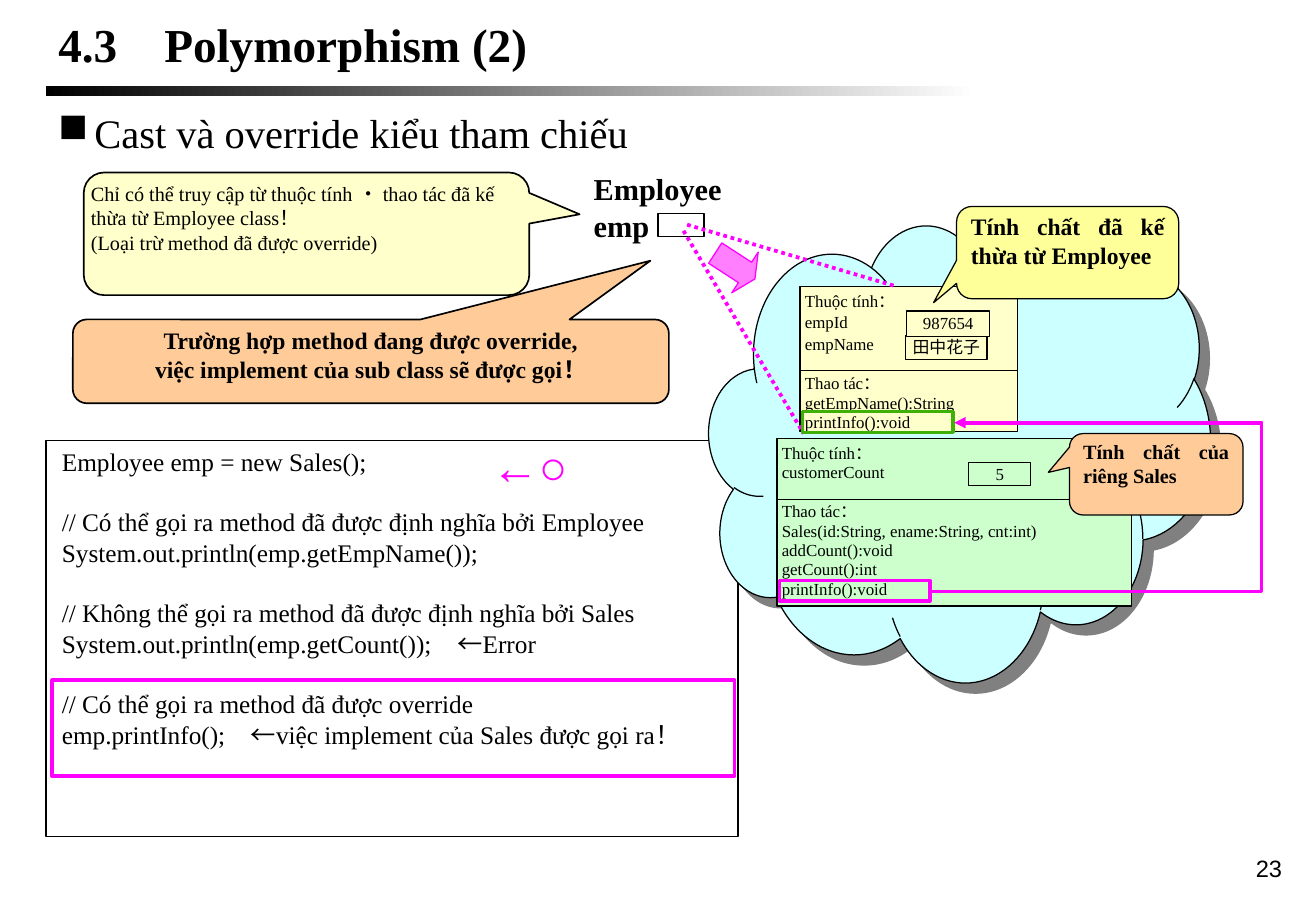
from dataclasses import dataclass

from lxml import etree
from pptx import Presentation
from pptx.dml.color import RGBColor
from pptx.enum.dml import MSO_LINE
from pptx.enum.shapes import MSO_CONNECTOR, MSO_SHAPE
from pptx.enum.text import MSO_ANCHOR, MSO_AUTO_SIZE, PP_ALIGN
from pptx.oxml.ns import qn
from pptx.util import Inches, Pt

LEFT, CENTER, RIGHT, JUSTIFY = PP_ALIGN.LEFT, PP_ALIGN.CENTER, PP_ALIGN.RIGHT, PP_ALIGN.JUSTIFY
TOP, MIDDLE = MSO_ANCHOR.TOP, MSO_ANCHOR.MIDDLE
RECT, CLOUD, ARROW = MSO_SHAPE.RECTANGLE, MSO_SHAPE.CLOUD, MSO_SHAPE.RIGHT_ARROW
CALLOUT = MSO_SHAPE.ROUNDED_RECTANGULAR_CALLOUT
STRAIGHT, ELBOW = MSO_CONNECTOR.STRAIGHT, MSO_CONNECTOR.ELBOW
DOTTED = MSO_LINE.ROUND_DOT


@dataclass(frozen=True)
class Theme:
    """Colours, fonts and type sizes of the slide."""
    ink: str = "000000"
    paper: str = "FFFFFF"
    cream: str = "FFFFCC"
    yellow: str = "FFFF99"
    orange: str = "FFCC99"
    mint: str = "CCFFCC"
    sky: str = "CCFFFF"
    magenta: str = "FF00FF"
    green: str = "3FB007"
    shade: str = "808080"
    serif: str = "Times New Roman"
    sans: str = "Arial"
    title: int = 28
    heading: int = 24
    reference: int = 18
    code: int = 15
    note: int = 14
    small_note: int = 12
    member: int = 10


THEME = Theme()


def within(box, dx, dy, width, height):
    """Return a box offset from the corner of another box."""
    return box[0] + dx, box[1] + dy, width, height


def write(shape, lines, size, color=THEME.ink, font=THEME.serif, bold=False, align=LEFT,
          anchor=TOP, inset=(0.04, 0.04), leading=1.21, gaps=None, bullet=None):
    """Fill a shape with paragraphs; gaps maps a line index to its space before."""
    frame = shape.text_frame
    frame.word_wrap = True
    frame.auto_size = MSO_AUTO_SIZE.NONE
    frame.vertical_anchor = anchor
    frame.margin_left = frame.margin_right = Inches(inset[0])
    frame.margin_top = frame.margin_bottom = Inches(inset[1])
    for index, line in enumerate(lines):
        paragraph = frame.paragraphs[0] if index == 0 else frame.add_paragraph()
        paragraph.alignment = align
        paragraph.line_spacing = Pt(round(size * leading, 1))
        paragraph.space_before = Pt((gaps or {}).get(index, 0))
        if bullet:
            properties = paragraph._p.get_or_add_pPr()
            properties.set("marL", str(Inches(0.3)))
            properties.set("indent", str(Inches(-0.3)))
            etree.SubElement(properties, qn("a:buChar"), char=bullet)
        run = paragraph.add_run()
        run.text = line
        run.font.name, run.font.size, run.font.bold = font, Pt(size), bold
        run.font.color.rgb = RGBColor.from_string(color)


def add_text(slide, box, lines, size, **fmt):
    """Add a text box."""
    write(slide.shapes.add_textbox(*map(Inches, box)), lines, size, **fmt)


def add_block(slide, kind, box, fill=None, line=THEME.ink, weight=0.75, adjust=()):
    """Add a preset shape with flat fill and outline."""
    block = slide.shapes.add_shape(kind, *map(Inches, box))
    block.shadow.inherit = False
    for index, value in enumerate(adjust):
        block.adjustments[index] = value
    if fill:
        block.fill.solid()
        block.fill.fore_color.rgb = RGBColor.from_string(fill)
    else:
        block.fill.background()
    if line:
        block.line.color.rgb = RGBColor.from_string(line)
        block.line.width = Pt(weight)
    else:
        block.line.fill.background()
    return block


def add_line(slide, start, end, color=THEME.ink, weight=0.75, kind=STRAIGHT, dash=None):
    """Add a connector without shadow."""
    connector = slide.shapes.add_connector(kind, *map(Inches, start + end))
    connector.line.color.rgb = RGBColor.from_string(color)
    connector.line.width = Pt(weight)
    if dash:
        connector.line.dash_style = dash
    etree.SubElement(connector._element.spPr, qn("a:effectLst"))
    return connector


def add_header(slide, box):
    """Place the title, the fading rule and the heading."""
    rule = add_block(slide, RECT, within(box, 0, 0.62, 7.67, 0.08), THEME.ink, None)
    rule.fill.gradient()
    rule.fill.gradient_angle = 0
    for stop, color in zip(rule.fill.gradient_stops, (THEME.ink, THEME.paper)):
        stop.color.rgb = RGBColor.from_string(color)
    title = slide.shapes.title
    title.left, title.top, title.width, title.height = map(Inches, within(box, 0, 0, 10.08, 0.54))
    write(title, ["4.3　Polymorphism (2)"], THEME.title, bold=True, anchor=MIDDLE, inset=(0.1, 0.05))
    add_text(slide, within(box, 0, 0.73, 9.73, 0.64), ["Cast và override kiểu tham chiếu"],
             THEME.heading, inset=(0.1, 0.07), bullet="■")


def add_callout(slide, box, lines, size, fill, adjust, weight=0.75, **fmt):
    """Place a speech bubble with its text."""
    bubble = add_block(slide, CALLOUT, box, fill, weight=weight, adjust=adjust + (0.167,))
    write(bubble, lines, size, **fmt)


def add_access_notes(slide, box):
    """Place the two notes on inherited and overridden members."""
    add_callout(slide, within(box, 0.09, 0, 3.67, 1.01),
                ["Chỉ có thể truy cập từ thuộc tính ・ thao tác đã kế thừa từ Employee class！",
                 "(Loại trừ method đã được override)"],
                THEME.small_note, THEME.cream, (0.613, -0.159), 1, inset=(0.01, 0.02))
    add_callout(slide, within(box, 0, 1.21, 4.91, 0.69),
                ["Trường hợp method đang được override,",
                 "việc implement của sub class sẽ được gọi！"],
                THEME.note, THEME.orange, (0.469, -1.201), 1,
                inset=(0.01, 0.02), bold=True, align=CENTER)


def add_code(slide, box):
    """Place the code listing with its marks."""
    listing = add_block(slide, RECT, box)
    write(listing, ["Employee emp = new Sales();",
                    "// Có thể gọi ra method đã được định nghĩa bởi Employee",
                    "System.out.println(emp.getEmpName());",
                    "// Không thể gọi ra method đã được định nghĩa bởi Sales",
                    "System.out.println(emp.getCount());　←Error",
                    "// Có thể gọi ra method đã được override",
                    "emp.printInfo();　←việc implement của Sales được gọi ra！"],
          THEME.code, inset=(0.13, 0.04), leading=1.2, gaps={1: 18, 3: 18, 5: 18})
    add_text(slide, within(box, 3.63, -0.07, 1.13, 1.13), ["←○"], THEME.title,
             color=THEME.magenta, bold=True)
    add_block(slide, RECT, within(box, 0.05, 1.97, 5.62, 0.79), line=THEME.magenta, weight=2.25)


def add_reference(slide, box):
    """Place the emp variable with its empty cell."""
    add_block(slide, RECT, within(box, 0.57, 0.4, 0.38, 0.19), THEME.paper)
    add_text(slide, box, ["Employee", "emp"], THEME.reference, bold=True, align=JUSTIFY)


def add_class(slide, box, fill, members, gaps, divider, values):
    """Place a class panel with its divider and value cells."""
    left, top, width, _ = box
    panel = add_block(slide, RECT, box, fill)
    write(panel, members, THEME.member, align=JUSTIFY, leading=1.15, gaps=gaps)
    add_line(slide, (left, top + divider), (left + width, top + divider))
    for value, *place in values:
        cell = add_block(slide, RECT, within(box, *place), fill)
        write(cell, [value], THEME.member, align=CENTER, inset=(0.04, 0.01))


def add_sales_object(slide, box):
    """Place the cloud holding the inherited and own members of Sales."""
    left, top, _, _ = box
    cloud = add_block(slide, CLOUD, box, THEME.sky)
    shadow = etree.SubElement(cloud._element.spPr.find(qn("a:effectLst")), qn("a:outerShdw"),
                              dist=str(Pt(8.5)), dir="2700000", algn="ctr", rotWithShape="0")
    etree.SubElement(shadow, qn("a:srgbClr"), val=THEME.shade)
    add_class(slide, within(box, 0.56, 1.87, 2.92, 1.38), THEME.mint,
              ["Thuộc tính：", "customerCount", "Thao tác：", "Sales(id:String, ename:String, cnt:int)",
               "addCount():void", "getCount():int", "printInfo():void"],
              {2: 11.5}, 0.5, [("5", 1.58, 0.2, 0.51, 0.19)])
    add_class(slide, within(box, 0.75, 0.62, 1.79, 1.19), THEME.cream,
              ["Thuộc tính：", "empId", "empName", "Thao tác：", "getEmpName():String",
               "printInfo():void"],
              {1: 1.1, 2: 1.5, 3: 11.5}, 0.69,
              [("田中花子", 0.87, 0.4, 0.67, 0.2), ("987654", 0.88, 0.2, 0.68, 0.21)])
    for start, end in (((-0.21, 0.16), (0.78, 1.83)), ((-0.18, 0.11), (1.55, 0.62))):
        add_line(slide, (left + start[0], top + start[1]), (left + end[0], top + end[1]),
                 THEME.magenta, 2.25, dash=DOTTED)
    pointer = add_block(slide, ARROW, within(box, 0.02, 0.25, 0.39, 0.4), THEME.magenta,
                        THEME.magenta, adjust=(0.5, 0.25))
    pointer.rotation = 33
    tint = pointer._element.spPr.find(qn("a:solidFill")).find(qn("a:srgbClr"))
    etree.SubElement(tint, qn("a:alpha"), val="50000")
    add_callout(slide, within(box, 2.04, -0.04, 1.83, 0.76), ["Tính chất đã kế thừa từ Employee"],
                THEME.note, THEME.yellow, (-0.604, 0.544),
                inset=(0.08, 0.01), bold=True, align=JUSTIFY)
    add_callout(slide, within(box, 2.97, 1.83, 1.43, 0.67), ["Tính chất của riêng Sales"],
                THEME.small_note, THEME.orange, (-0.622, -0.023),
                inset=(0.08, 0.01), bold=True, align=JUSTIFY)
    for dx, dy, color in ((0.77, 1.65, THEME.green), (0.58, 3.04, THEME.magenta)):
        add_block(slide, RECT, within(box, dx, dy, 1.24, 0.17), line=color, weight=2)
    override = add_line(slide, (left + 1.83, top + 3.13), (left + 2.02, top + 1.74),
                        THEME.magenta, 2.25, ELBOW)
    guides = override._element.spPr.find(qn("a:prstGeom")).get_or_add_avLst()
    etree.SubElement(guides, qn("a:gd"), name="adj1", fmla="val 1431400")
    etree.SubElement(override.line._get_or_add_ln(), qn("a:tailEnd"), type="triangle")


def main():
    """Build the slide and save it."""
    deck = Presentation()
    deck.slide_width, deck.slide_height = Inches(10.84), Inches(7.5)
    slide = deck.slides.add_slide(deck.slide_layouts[5])
    add_header(slide, (0.38, 0.09, 10.08, 1.37))
    add_code(slide, (0.38, 3.63, 5.7, 3.26))
    add_access_notes(slide, (0.6, 1.42, 4.91, 1.9))
    add_reference(slide, (4.85, 1.36, 1.33, 0.81))
    add_sales_object(slide, (5.84, 1.74, 4.13, 3.87))
    add_text(slide, (8.33, 6.98, 2.33, 0.52), ["23"], THEME.note, font=THEME.sans,
             align=RIGHT, inset=(0.1, 0.05))
    deck.save("out.pptx")


if __name__ == "__main__":
    main()
